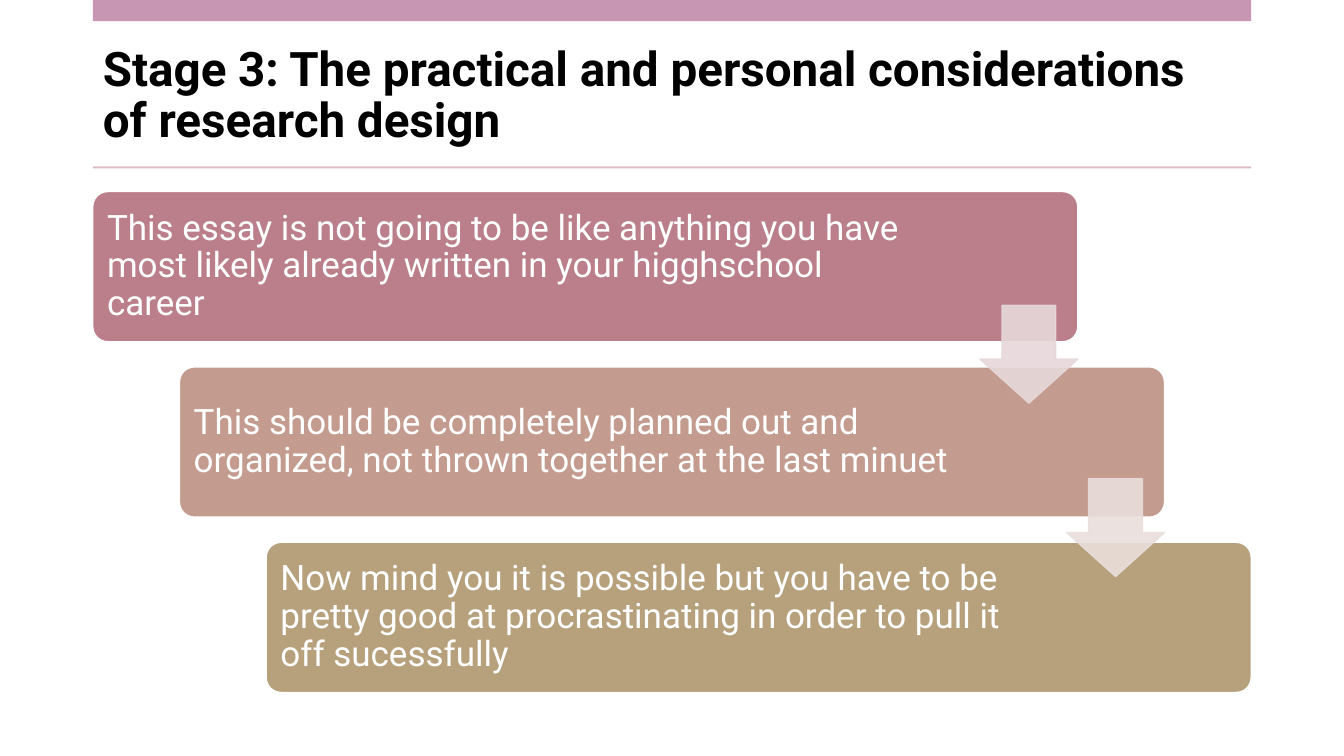
from dataclasses import dataclass

from lxml import etree
from pptx import Presentation
from pptx.dml.color import RGBColor
from pptx.enum.shapes import MSO_SHAPE
from pptx.enum.text import MSO_ANCHOR, MSO_AUTO_SIZE, PP_ALIGN
from pptx.oxml.ns import qn
from pptx.util import Inches, Pt

RECTANGLE = MSO_SHAPE.RECTANGLE
ROUNDED = MSO_SHAPE.ROUNDED_RECTANGLE
DOWN_ARROW = MSO_SHAPE.DOWN_ARROW
MIDDLE = MSO_ANCHOR.MIDDLE
NO_AUTOFIT = MSO_AUTO_SIZE.NONE
LEFT = PP_ALIGN.LEFT
TITLE_ONLY = 5


@dataclass(frozen=True)
class Theme:
    font: str = "Roboto"
    title_size: int = 34
    step_size: int = 25
    line_spacing: float = 0.9
    title_color: str = "000000"
    step_text: str = "FFFFFF"
    outline: str = "FFFFFF"
    top_bar: str = "C696B3"
    rule: str = "DBBDC3"
    step_fills: tuple = ("BA7F8A", "C39B8F", "B6A17C")
    arrow_fills: tuple = ("E7D8DA", "E9DEDB")
    arrow_opacity: int = 90


class SlideBuilder:
    def __init__(self, slide, theme):
        self.slide = slide
        self.theme = theme

    def set_text(self, shape, text, size, color, bold=False):
        frame = shape.text_frame
        frame.text = text
        frame.word_wrap = True
        frame.auto_size = NO_AUTOFIT
        frame.vertical_anchor = MIDDLE
        paragraph = frame.paragraphs[0]
        paragraph.alignment = LEFT
        paragraph.line_spacing = self.theme.line_spacing
        font = paragraph.runs[0].font
        font.name = self.theme.font
        font.size = Pt(size)
        font.bold = bold
        font.color.rgb = RGBColor.from_string(color)

    def title(self, text, left, top, width, height):
        title = self.slide.shapes.title
        title.left, title.top = Inches(left), Inches(top)
        title.width, title.height = Inches(width), Inches(height)
        self.set_text(title, text, self.theme.title_size, self.theme.title_color, True)

    def shape(self, kind, left, top, width, height, fill, line=None):
        shape = self.slide.shapes.add_shape(
            kind, Inches(left), Inches(top), Inches(width), Inches(height))
        shape.shadow.inherit = False
        shape.fill.solid()
        shape.fill.fore_color.rgb = RGBColor.from_string(fill)
        if line:
            shape.line.color.rgb = RGBColor.from_string(line)
            shape.line.width = Pt(1)
        else:
            shape.line.fill.background()
        return shape

    def step(self, text, left, top, width, height, fill, right_inset):
        card = self.shape(ROUNDED, left, top, width, height, fill, self.theme.outline)
        card.adjustments[0] = 0.1
        self.set_text(card, text, self.theme.step_size, self.theme.step_text)
        card.text_frame.margin_left = Inches(0.1)
        card.text_frame.margin_right = Inches(right_inset)

    def arrow(self, left, top, size, fill):
        arrow = self.shape(DOWN_ARROW, left, top, size, size, fill, fill)
        arrow.adjustments[0] = 0.55
        arrow.adjustments[1] = 0.45
        # Transparency of fill and outline
        for color in arrow.element.spPr.iter(qn("a:srgbClr")):
            alpha = etree.SubElement(color, qn("a:alpha"))
            alpha.set("val", str(self.theme.arrow_opacity * 1000))


def main():
    presentation = Presentation()
    presentation.slide_width = Inches(13.33)
    presentation.slide_height = Inches(7.5)
    slide = presentation.slides.add_slide(presentation.slide_layouts[TITLE_ONLY])
    theme = Theme()
    builder = SlideBuilder(slide, theme)
    margin, content_width = 0.92, 11.49

    # Heading between the top bar and the thin rule
    builder.title("Stage 3: The practical and personal considerations of research design",
                  margin, 0.37, content_width, 1.18)
    builder.shape(RECTANGLE, margin, 0, content_width, 0.21, theme.top_bar)
    builder.shape(RECTANGLE, margin, 1.65, content_width, 0.02, theme.rule)

    # Staircase of steps, each with its right text inset
    steps = [
        ("This essay is not going to be like anything you have most likely already "
         "written in your higghschool career", 1.63),
        ("This should be completely planned out and organized, not thrown together "
         "at the last minuet", 1.94),
        ("Now mind you it is possible but you have to be pretty good at "
         "procrastinating in order to pull it off sucessfully", 1.94),
    ]
    shift = 0.86
    for index, ((text, right_inset), fill) in enumerate(zip(steps, theme.step_fills)):
        builder.step(text, margin + index * shift, 1.9 + index * 1.74,
                     9.77, 1.49, fill, right_inset)

    # Arrows from each step to the next
    for index, fill in enumerate(theme.arrow_fills):
        builder.arrow(9.72 + index * shift, 3.03 + index * 1.72, 0.97, fill)

    presentation.save("out.pptx")


if __name__ == "__main__":
    main()
